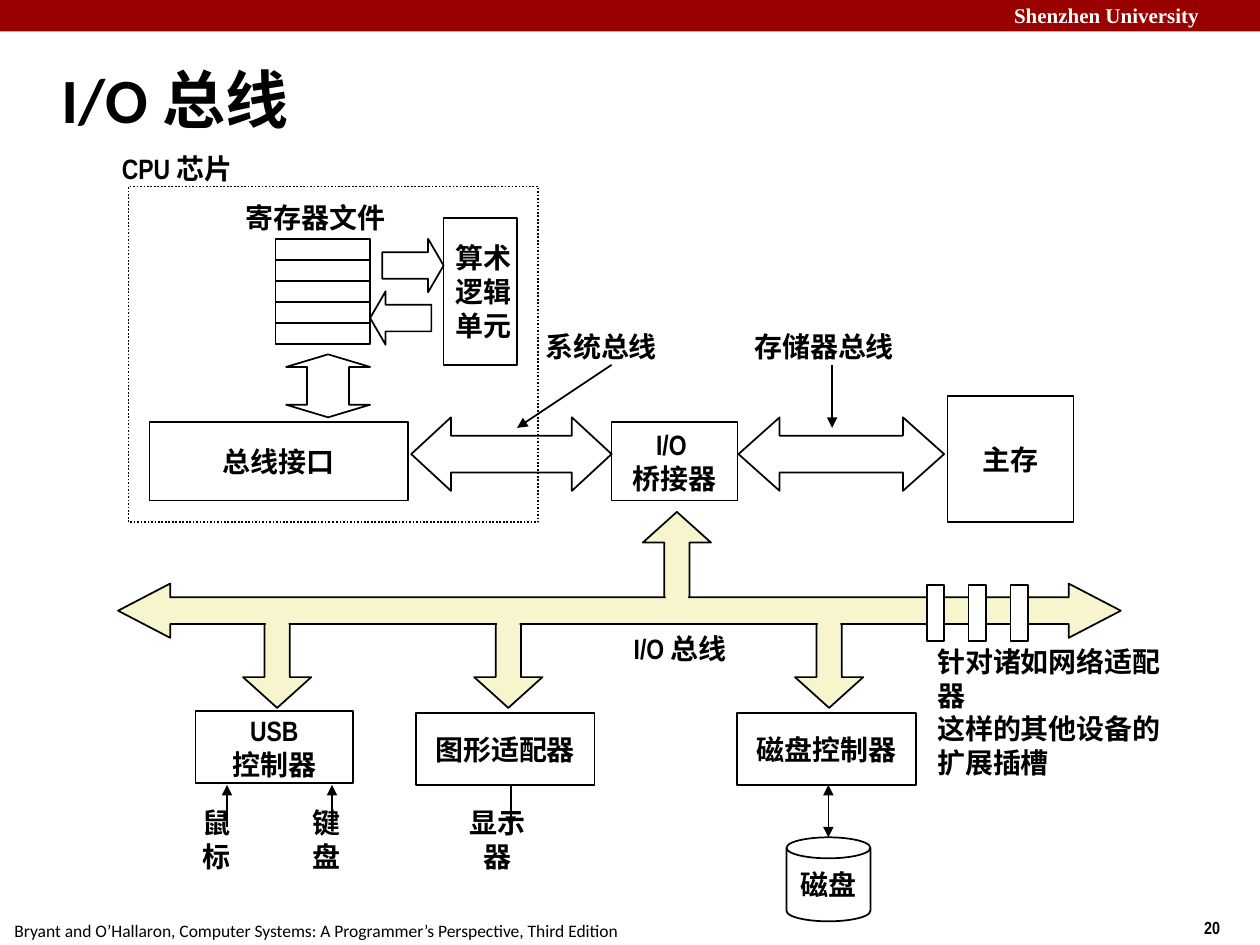
from dataclasses import dataclass
from typing import Optional

import pptx
import pptx.dml.color
import pptx.enum.dml
import pptx.enum.shapes
import pptx.enum.text
import pptx.oxml
import pptx.oxml.ns
import pptx.util

Pt = pptx.util.Pt
Kind = pptx.enum.shapes.MSO_SHAPE
Align = pptx.enum.text.PP_ALIGN
Anchor = pptx.enum.text.MSO_ANCHOR
AutoSize = pptx.enum.text.MSO_AUTO_SIZE

COLORS = {"black": "000000", "white": "FFFFFF", "red": "990000", "bus": "F7F5CD"}
LABEL_FONT = {"name": "Arial Narrow", "size": Pt(16), "bold": True}
FRAME_FORMAT = {
    "margin_left": Pt(7.2), "margin_right": Pt(7.2),
    "margin_top": Pt(3.6), "margin_bottom": Pt(3.6),
}


@dataclass
class Block:
    kind: Kind
    left: float
    top: float
    width: float
    height: float
    text: str = ""
    fill: Optional[str] = None
    line: Optional[str] = "black"
    adjustments: tuple = ()
    align: Align = Align.CENTER
    dotted: bool = False


@dataclass
class Label:
    text: str
    left: float
    top: float
    width: float
    height: float = 26.5
    align: Align = Align.LEFT


@dataclass
class Arrow:
    start: tuple
    end: tuple
    head: bool = False
    tail: bool = False


def rgb(name: str) -> pptx.dml.color.RGBColor:
    return pptx.dml.color.RGBColor.from_string(COLORS[name])


def apply_format(target, values: dict) -> None:
    for name, value in values.items():
        setattr(target, name, value)


def write_text(shape, text: str, font: dict, align: Align = Align.LEFT,
               color: str = "black", wrap: bool = False,
               anchor: Anchor = Anchor.MIDDLE) -> None:
    """Put each line of text in its own formatted paragraph."""
    frame = shape.text_frame
    apply_format(frame, FRAME_FORMAT | {"word_wrap": wrap, "vertical_anchor": anchor})
    frame.text = text
    for paragraph in frame.paragraphs:
        paragraph.alignment = align
        for run in paragraph.runs:
            apply_format(run.font, font)
            run.font.color.rgb = rgb(color)


def set_adjustments(shape, values: tuple) -> None:
    """Set the values and number the guides, as the up-down arrow's share one name."""
    for index, value in enumerate(values):
        shape.adjustments[index] = value
    if len(values) > 1:
        for number, guide in enumerate(shape._element.xpath(".//a:avLst/a:gd"), 1):
            guide.set("name", f"adj{number}")


def draw_block(slide, block: Block) -> None:
    shape = slide.shapes.add_shape(
        block.kind, Pt(block.left), Pt(block.top), Pt(block.width), Pt(block.height))
    shape.shadow.inherit = False
    set_adjustments(shape, block.adjustments)
    if block.fill:
        shape.fill.solid()
        shape.fill.fore_color.rgb = rgb(block.fill)
    else:
        shape.fill.background()
    if block.line:
        shape.line.color.rgb = rgb(block.line)
        shape.line.width = Pt(1)
    else:
        shape.line.fill.background()
    if block.dotted:
        shape.line.dash_style = pptx.enum.dml.MSO_LINE.ROUND_DOT
    if block.text:
        write_text(shape, block.text, LABEL_FONT, block.align)


def add_text_box(slide, left: float, top: float, width: float, height: float):
    return slide.shapes.add_textbox(Pt(left), Pt(top), Pt(width), Pt(height))


def draw_label(slide, label: Label) -> None:
    box = add_text_box(slide, label.left, label.top, label.width, label.height)
    write_text(box, label.text, LABEL_FONT, label.align)
    box.text_frame.auto_size = AutoSize.SHAPE_TO_FIT_TEXT


def draw_arrow(slide, arrow: Arrow) -> None:
    connector = slide.shapes.add_connector(
        pptx.enum.shapes.MSO_CONNECTOR.STRAIGHT,
        *(Pt(value) for value in arrow.start + arrow.end))
    connector.line.color.rgb = rgb("black")
    connector.line.width = Pt(1)
    line = connector.line._get_or_add_ln()
    for tag, wanted in (("a:headEnd", arrow.head), ("a:tailEnd", arrow.tail)):
        if wanted:
            end = pptx.oxml.parse_xml(f'<{tag} {pptx.oxml.ns.nsdecls("a")} type="triangle"/>')
            line.append(end)
    effects = pptx.oxml.parse_xml(f'<a:effectLst {pptx.oxml.ns.nsdecls("a")}/>')
    connector._element.spPr.append(effects)


def draw_page_frame(slide) -> None:
    draw_block(slide, Block(Kind.RECTANGLE, 0, 0, 720, 18, fill="red", line=None))
    write_text(add_text_box(slide, 572.4, -2, 147.6, 21.6), "Shenzhen University",
               {"name": "Times New Roman", "size": Pt(12), "bold": True},
               color="white", wrap=True, anchor=Anchor.TOP)
    write_text(add_text_box(slide, 681, 520.6, 39, 19.4), "20",
               {"name": "Arial Narrow", "size": Pt(10), "bold": True},
               wrap=True, anchor=Anchor.TOP)
    write_text(add_text_box(slide, 1.2, 522, 361, 18),
               "Bryant and O’Hallaron, Computer Systems: A Programmer’s Perspective, Third Edition",
               {"name": "Calibri", "size": Pt(10)}, anchor=Anchor.TOP)
    write_text(add_text_box(slide, 28, 26, 598, 60), "I/O 总线",
               {"name": "Calibri", "size": Pt(36), "bold": True}, wrap=True)


REGISTERS = [Block(Kind.RECTANGLE, 157.5, 136.5 + 12 * row, 54, 12) for row in range(5)]
CHIP_AND_MEMORY = [
    Block(Kind.RECTANGLE, 541.5, 226.5, 72, 72, "主存"),
    Block(Kind.LEFT_RIGHT_ARROW, 422, 238.5, 117.5, 42, adjustments=(0.5, 0.56)),
    Block(Kind.RECTANGLE, 349.5, 241, 72, 45, "I/O \n桥接器"),
    Block(Kind.LEFT_RIGHT_ARROW, 235, 238.5, 114.5, 42, adjustments=(0.5, 0.54)),
    Block(Kind.RECTANGLE, 85.5, 241, 147.5, 45, "总线接口"),
    *REGISTERS,
    Block(Kind.RIGHT_ARROW, 218.5, 136.5, 35, 30.5, adjustments=(0.5, 0.29)),
    Block(Kind.LEFT_ARROW, 211.5, 166.5, 35, 30.5, adjustments=(0.5, 0.29)),
    Block(Kind.RECTANGLE, 253.5, 124.5, 42, 84, "算术\n逻辑\n单元", align=Align.LEFT),
    Block(Kind.UP_DOWN_ARROW, 163.5, 202.5, 48, 36, adjustments=(0.5, 0.2)),
    Block(Kind.RECTANGLE, 73.5, 106.5, 234, 192, dotted=True),
]

BRANCH_CENTERS = (158.4, 290.5, 473.8)
BRANCH = {"width": 39, "height": 54, "fill": "bus", "adjustments": (0.37, 0.45)}
BRANCHES = [
    Block(Kind.UP_ARROW, 367.3, 292.5, **BRANCH),
    *(Block(Kind.DOWN_ARROW, center - 19.5, 350.5, **BRANCH) for center in BRANCH_CENTERS),
]
DEVICES = [
    Block(Kind.RECTANGLE, 111.7, 406.5, 90, 41, "USB\n控制器"),
    Block(Kind.RECTANGLE, 237.6, 407.5, 102.2, 41, "图形适配器"),
    Block(Kind.RECTANGLE, 421.3, 407.5, 102.2, 41, "磁盘控制器"),
    Block(Kind.CAN, 449.4, 478.5, 48, 48, "磁盘", adjustments=(0.25,)),
]
IO_BUS = Block(Kind.LEFT_RIGHT_ARROW, 67.5, 333.5, 573, 31, fill="bus",
               adjustments=(0.49, 0.96))
# Unlined patches open the joints between the bus and its branches.
JOINTS = [
    Block(Kind.RECTANGLE, center - 6.5, top, 13, 12, fill="bus", line=None)
    for center, top in zip((*BRANCH_CENTERS, 386.8), (347, 346.5, 345.5, 340.5))
]
SLOTS = [Block(Kind.RECTANGLE, 529.5 + 24 * slot, 334.5, 10, 32, fill="white")
         for slot in range(3)]

LABELS = [
    Label("寄存器文件", 133.2, 111, 94.3, align=Align.CENTER),
    Label("CPU 芯片", 62.6, 82.8, 81.4),
    Label("系统总线", 304.5, 184.5, 78),
    Label("存储器总线", 424, 184.5, 94.3),
    Label("鼠标", 100.8, 466.5, 46, align=Align.CENTER),
    Label("键盘", 163.4, 466.5, 46, align=Align.CENTER),
    Label("显示器", 253.4, 466.5, 62, align=Align.CENTER),
    Label("I/O 总线", 355, 357.3, 71.3),
    Label("针对诸如网络适配器\n这样的其他设备的\n扩展插槽", 528.5, 374.4, 157.7, 64.8),
]
ARROWS = [
    Arrow((349.5, 208.5), (295.5, 244.5), tail=True),
    Arrow((475.5, 208.5), (475.5, 244.5), tail=True),
    Arrow((129.7, 448.5), (129.7, 472.5), head=True),
    Arrow((189.7, 448.5), (189.7, 472.5), head=True),
    Arrow((291.8, 448.5), (291.8, 472.5), tail=True),
    Arrow((473.4, 448.5), (473.4, 478.5), head=True, tail=True),
]


def main() -> None:
    presentation = pptx.Presentation()
    presentation.slide_width, presentation.slide_height = Pt(720), Pt(540)
    slide = presentation.slides.add_slide(presentation.slide_layouts[6])
    draw_page_frame(slide)
    for block in (*CHIP_AND_MEMORY, *BRANCHES, *DEVICES, IO_BUS, *JOINTS, *SLOTS):
        draw_block(slide, block)
    for arrow in ARROWS:
        draw_arrow(slide, arrow)
    for label in LABELS:
        draw_label(slide, label)
    presentation.save("out.pptx")


if __name__ == "__main__":
    main()
